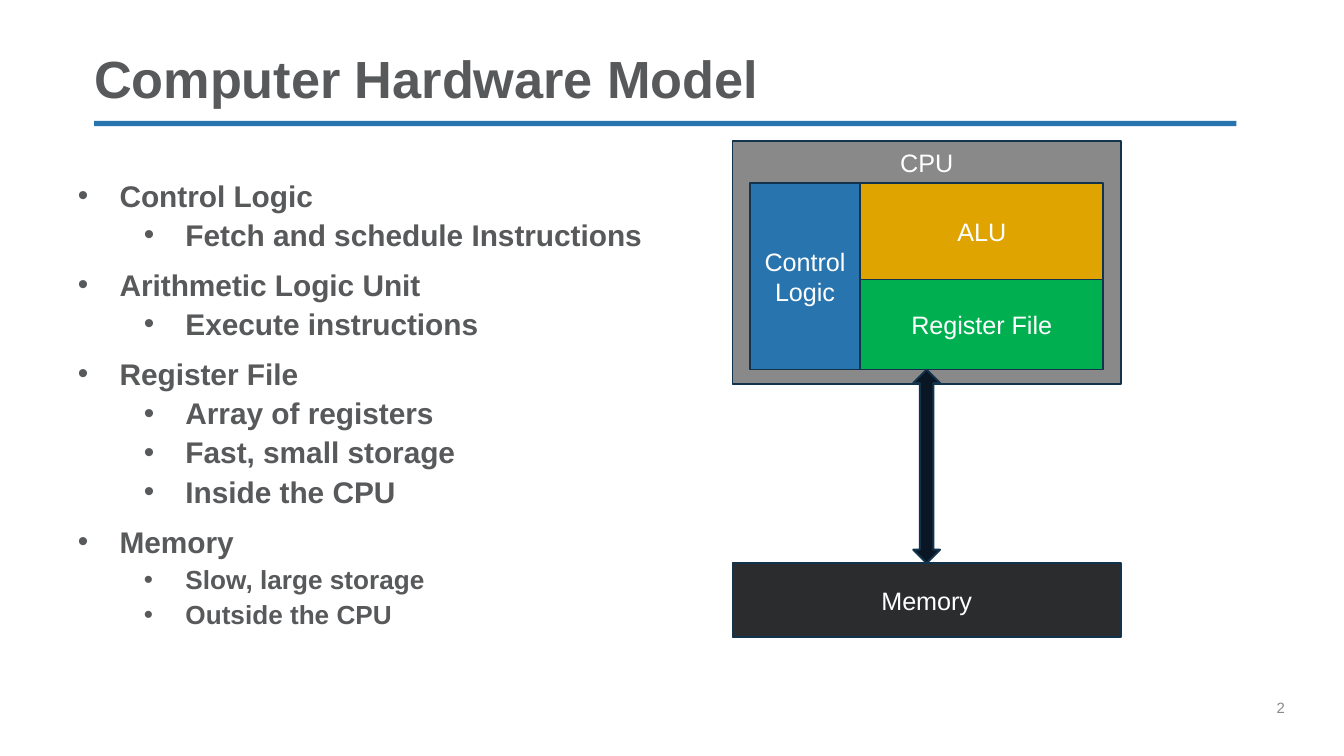
from typing import NamedTuple

from lxml import etree
from pptx import Presentation
from pptx.dml.color import RGBColor
from pptx.enum.shapes import MSO_SHAPE
from pptx.enum.text import MSO_ANCHOR, MSO_AUTO_SIZE, PP_ALIGN
from pptx.oxml.ns import qn
from pptx.util import Inches, Pt

RECT, ARROW = MSO_SHAPE.RECTANGLE, MSO_SHAPE.UP_DOWN_ARROW
TOP, MIDDLE, BOTTOM = MSO_ANCHOR.TOP, MSO_ANCHOR.MIDDLE, MSO_ANCHOR.BOTTOM
LEFT, CENTER = PP_ALIGN.LEFT, PP_ALIGN.CENTER
FIXED = MSO_AUTO_SIZE.NONE
CELL = Inches(0.1)
FACE, GREY, BLUE, EDGE, WHITE = "Arial", "58595B", "2774AE", "11334C", "FFFFFF"
DIM = "898989"


class Area(NamedTuple):
    """A place on the slide in grid columns and rows."""
    col: float
    row: float
    wide: float
    high: float


class Block(NamedTuple):
    """A filled shape of the hardware diagram."""
    area: Area
    fill: str
    text: str = ""
    anchor: MSO_ANCHOR = MIDDLE
    kind: MSO_SHAPE = RECT
    edge: str = EDGE


class Item(NamedTuple):
    """A list line with its level and text size."""
    text: str
    level: int = 0
    size: float = 16


class Level(NamedTuple):
    """Indent and spacing of a list level."""
    indent: float
    before: float
    pitch: float


LEVELS = [Level(0.31, 7.5, 1.0), Level(0.8, 3.8, 0.9)]
HANG = 0.31

ITEMS = [
    Item("Control Logic"),
    Item("Fetch and schedule Instructions", 1),
    Item("Arithmetic Logic Unit"),
    Item("Execute instructions", 1),
    Item("Register File"),
    Item("Array of registers", 1),
    Item("Fast, small storage", 1),
    Item("Inside the CPU", 1),
    Item("Memory"),
    Item("Slow, large storage", 1, 14),
    Item("Outside the CPU", 1, 14),
]

CPU = Area(54.5, 10.5, 28.9, 18.1)
CORE = Area(55.8, 13.6, 26.3, 13.9)
MEMORY = Area(CPU.col, 41.9, CPU.wide, 5.5)
SPLIT, ALU, BUS = 8.2, 7.2, 2
BASE = CORE.row + CORE.high
SIDE, REST = CORE.col + SPLIT, CORE.wide - SPLIT

BLOCKS = [
    Block(Area(7, 9, 85, 0.4), BLUE, edge=""),
    Block(CPU, DIM, "CPU", TOP),
    Block(Area(SIDE, CORE.row + ALU, REST, CORE.high - ALU), "00B050", "Register File"),
    Block(MEMORY, "2B2C2E", "Memory"),
    Block(Area(SIDE, CORE.row, REST, ALU), "E0A400", "ALU"),
    Block(Area(CPU.col + (CPU.wide - BUS) / 2, BASE, BUS, MEMORY.row - BASE),
          "0B1624", kind=ARROW),
    Block(Area(CORE.col, CORE.row, SPLIT, CORE.high), BLUE, "Control\vLogic"),
]


def paint(color: str) -> RGBColor:
    """Turn a hex string into a colour."""
    return RGBColor.from_string(color)


def put(target, values: dict) -> None:
    """Set every attribute in the dict on the target."""
    for name, value in values.items():
        setattr(target, name, value)


def span(area: Area) -> list[int]:
    """Turn grid cells into slide lengths."""
    return [round(part * CELL) for part in area]


def place(shape, area: Area) -> None:
    """Move a shape to its area."""
    put(shape, dict(zip(("left", "top", "width", "height"), span(area))))


def style(para, size: float, color: str, bold: bool = False) -> None:
    """Format the font of a paragraph."""
    put(para.font, {"name": FACE, "size": Pt(size), "bold": bold})
    para.font.color.rgb = paint(color)


def frame(shape, anchor: MSO_ANCHOR, base: float = 0):
    """Give a text frame flush margins and a fixed size."""
    text = shape.text_frame
    put(text, {"word_wrap": True, "auto_size": FIXED, "vertical_anchor": anchor,
               "margin_left": 0, "margin_top": 0, "margin_right": 0,
               "margin_bottom": Inches(base)})
    return text


def draw(slide, block: Block) -> None:
    """Draw one block with its label."""
    shape = slide.shapes.add_shape(block.kind, *span(block.area))
    shape.shadow.inherit = False
    shape.fill.solid()
    shape.fill.fore_color.rgb = paint(block.fill)
    if block.edge:
        shape.line.color.rgb = paint(block.edge)
        shape.line.width = Pt(1)
    else:
        shape.line.fill.background()
    if block.text:
        text = shape.text_frame
        side = Inches(0.05)
        put(text, {"text": block.text, "word_wrap": True, "vertical_anchor": block.anchor,
                   "margin_left": side, "margin_right": side})
        text.paragraphs[0].alignment = CENTER
        style(text.paragraphs[0], 13.5, WHITE)


def bullet(para, indent: float) -> None:
    """Give a paragraph a hanging round bullet."""
    props = para._p.get_or_add_pPr()
    props.set("marL", str(Inches(indent)))
    props.set("indent", str(-Inches(HANG)))
    etree.SubElement(props, qn("a:buFont")).set("typeface", FACE)
    etree.SubElement(props, qn("a:buChar")).set("char", "•")


def fill(body) -> None:
    """Write the list into the body placeholder."""
    text = frame(body, TOP)
    for spot, item in enumerate(ITEMS):
        para = text.add_paragraph() if spot else text.paragraphs[0]
        level = LEVELS[item.level]
        bullet(para, level.indent)
        put(para, {"text": item.text, "level": item.level, "alignment": LEFT,
                   "line_spacing": level.pitch,
                   "space_before": Pt(level.before if spot else 0)})
        style(para, item.size, GREY, True)


def main() -> None:
    """Build and save the slide."""
    deck = Presentation()
    put(deck, {"slide_width": 100 * CELL, "slide_height": round(56.25 * CELL)})
    slide = deck.slides.add_slide(deck.slide_layouts[1])
    title, body = slide.placeholders
    place(title, Area(7, 4, 85, 4.2))
    head = frame(title, BOTTOM)
    head.text = "Computer Hardware Model"
    put(head.paragraphs[0], {"alignment": LEFT, "line_spacing": 0.9})
    style(head.paragraphs[0], 28, GREY, True)
    place(body, Area(5.8, 13.2, 47.4, 34.4))
    fill(body)
    for block in BLOCKS:
        draw(slide, block)
    page = frame(slide.shapes.add_textbox(*span(Area(95, 52, 5, 4))), TOP, 0.28)
    page.text = "2"
    style(page.paragraphs[0], 8, DIM)
    deck.save("out.pptx")


if __name__ == "__main__":
    main()
